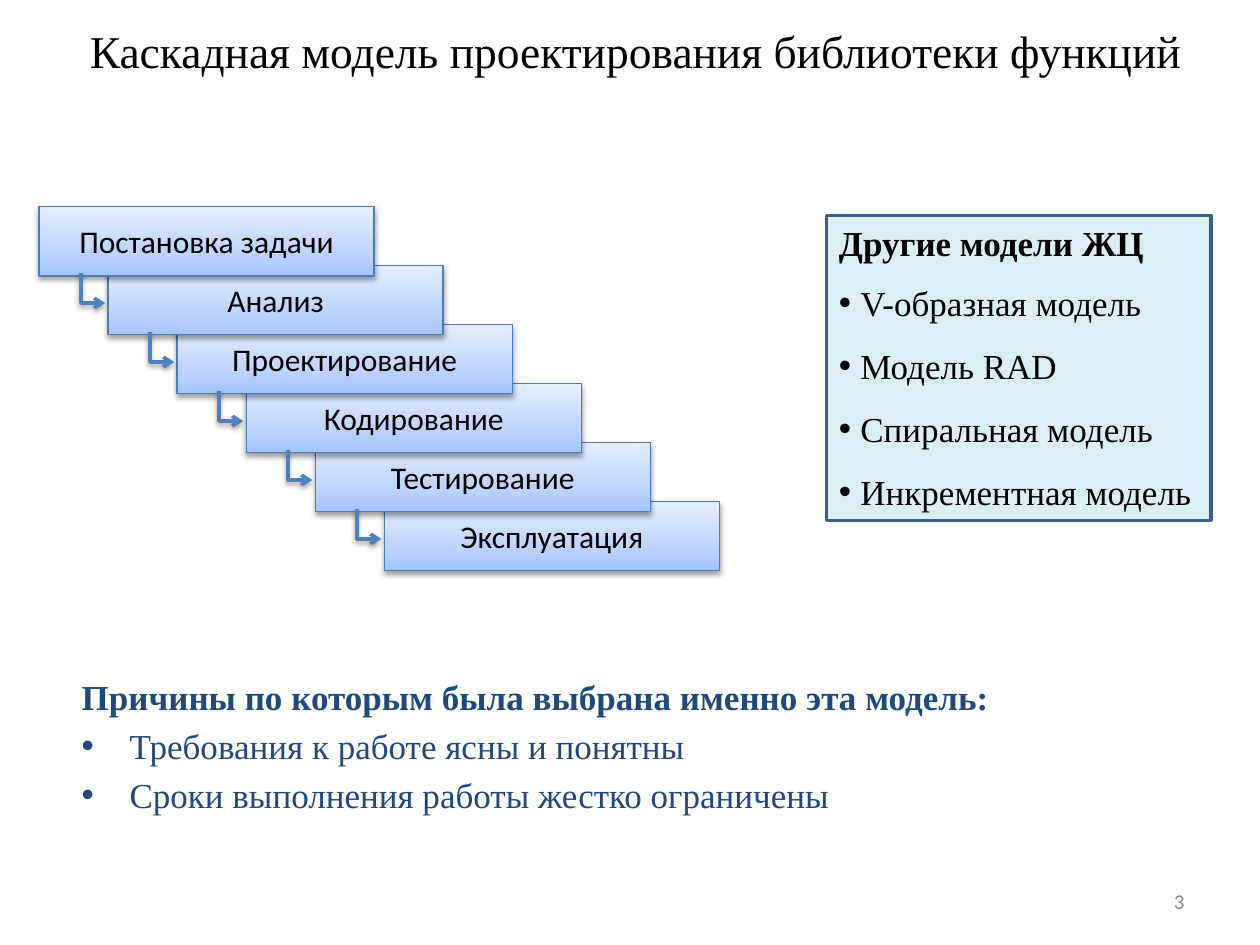
"""Builds a slide on the waterfall model of designing a function library."""
from copy import deepcopy

from lxml import etree
from pptx import Presentation
from pptx.dml.color import RGBColor
from pptx.enum.shapes import MSO_CONNECTOR, MSO_SHAPE
from pptx.enum.text import MSO_ANCHOR, PP_ALIGN
from pptx.oxml.ns import qn
from pptx.util import Inches, Pt

RECT = MSO_SHAPE.RECTANGLE
ELBOW = MSO_CONNECTOR.ELBOW
TOP, MIDDLE = MSO_ANCHOR.TOP, MSO_ANCHOR.MIDDLE
LEFT, CENTER, RIGHT = PP_ALIGN.LEFT, PP_ALIGN.CENTER, PP_ALIGN.RIGHT
SERIF, SANS = "Times New Roman", "Calibri"
BLACK, NAVY, GREY = "000000", "1F497D", "8C8C8C"

TITLE = "Каскадная модель проектирования библиотеки функций"
STAGES = ["Постановка задачи", "Анализ", "Проектирование",
          "Кодирование", "Тестирование", "Эксплуатация"]
OTHER_HEADING = "Другие модели ЖЦ"
OTHER_MODELS = ["V-образная модель", "Модель RAD", "Спиральная модель",
                "Инкрементная модель"]
REASONS_HEADING = "Причины по которым была выбрана именно эта модель:"
REASONS = ["Требования к работе ясны и понятны",
           "Сроки выполнения работы жестко ограничены"]
PAGE_NUMBER = "3"

SLIDE_W, SLIDE_H = 10, 7.5
MARGIN = 0.55
FIRST_X, FIRST_Y = 0.31, 1.64
STAGE_W, STAGE_H = 2.66, 0.55
STEP_X, STEP_Y = 2.74 / 5, 2.34 / 5
ELBOW_INSET = 0.31
PANEL_X, PANEL_Y, PANEL_W, PANEL_H = 6.56, 1.71, 3.05, 2.42
STAGE_GRADIENT = [(0, "A4C4FF"), (0.35, "BFD4FF"), (1, "E6EEFF")]


def rgb(value):
    return RGBColor.from_string(value)


def inches(*lengths):
    return [Inches(length) for length in lengths]


def write(shape, lines, size=20, font=SERIF, color=BLACK, bold=False,
          align=LEFT, anchor=TOP, hang=0, before=0, spacing=1.0):
    frame = shape.text_frame
    frame.word_wrap = True
    frame.vertical_anchor = anchor
    frame.text = "\n".join(lines)
    for paragraph in frame.paragraphs:
        paragraph.alignment = align
        paragraph.space_before = Pt(before)
        paragraph.line_spacing = spacing
        run_font = paragraph.runs[0].font
        run_font.size, run_font.name, run_font.bold = Pt(size), font, bold
        run_font.color.rgb = rgb(color)
        if hang:
            props = paragraph._p.get_or_add_pPr()
            props.set("marL", str(Inches(hang)))
            props.set("indent", str(-Inches(hang)))
            etree.SubElement(props, qn("a:buFont"), typeface="Arial")
            etree.SubElement(props, qn("a:buChar"), char="•")


def add_text(slide, box, lines, **style):
    write(slide.shapes.add_textbox(*inches(*box)), lines, **style)


def add_shadow(shape):
    effects = etree.SubElement(shape._element.spPr, qn("a:effectLst"))
    shadow = etree.SubElement(effects, qn("a:outerShdw"), blurRad="40000",
                              dist="20000", dir="5400000", rotWithShape="0")
    color = etree.SubElement(shadow, qn("a:srgbClr"), val=BLACK)
    etree.SubElement(color, qn("a:alpha"), val="38000")


def add_stage(slide, x, y, name):
    stage = slide.shapes.add_shape(RECT, *inches(x, y, STAGE_W, STAGE_H))
    stage.fill.gradient()
    stage.fill.gradient_angle = 90
    stop_list = stage._element.spPr.find(".//" + qn("a:gsLst"))
    stop_list.append(deepcopy(stop_list[0]))
    for stop, (position, color) in zip(stage.fill.gradient_stops, STAGE_GRADIENT):
        stop.position = position
        stop.color.rgb = rgb(color)
    stage.line.color.rgb = rgb("4B7EBC")
    stage.line.width = Pt(0.75)
    add_shadow(stage)
    write(stage, [name], size=18, font=SANS, align=CENTER, anchor=MIDDLE)


def add_elbow(slide, x, y, next_x, next_y):
    elbow = slide.shapes.add_connector(
        ELBOW, *inches(x + ELBOW_INSET, y + STAGE_H, next_x, next_y + STAGE_H / 2))
    elbow.line.color.rgb = rgb("4F81BD")
    elbow.line.width = Pt(2)
    props = elbow._element.spPr
    transform = props.find(qn("a:xfrm"))
    transform.set("rot", "16200000")
    transform.set("flipH", "1")
    adjustments = props.find(qn("a:prstGeom")).find(qn("a:avLst"))
    etree.SubElement(adjustments, qn("a:gd"), name="adj1", fmla="val 99700")
    etree.SubElement(props.find(qn("a:ln")), qn("a:tailEnd"), type="arrow")
    add_shadow(elbow)


def add_cascade(slide):
    corners = [(FIRST_X + i * STEP_X, FIRST_Y + i * STEP_Y)
               for i in range(len(STAGES))]
    for corner, name in reversed(list(zip(corners, STAGES))):
        add_stage(slide, *corner, name)
    for corner, next_corner in zip(corners, corners[1:]):
        add_elbow(slide, *corner, *next_corner)


def add_other_models(slide):
    panel = slide.shapes.add_shape(
        RECT, *inches(PANEL_X, PANEL_Y, PANEL_W, PANEL_H))
    panel.shadow.inherit = False
    panel.fill.solid()
    panel.fill.fore_color.rgb = rgb("DBEEF4")
    panel.line.color.rgb = rgb("3A5F8C")
    panel.line.width = Pt(2)
    add_text(slide, (PANEL_X, PANEL_Y, PANEL_W, 0.44), [OTHER_HEADING], bold=True)
    add_text(slide, (PANEL_X, PANEL_Y + 0.31, 3.19, 2.06), OTHER_MODELS,
             hang=0.17, spacing=1.5)


def main():
    deck = Presentation()
    deck.slide_width, deck.slide_height = inches(SLIDE_W, SLIDE_H)
    slide = deck.slides.add_slide(deck.slide_layouts[6])
    add_text(slide, (MARGIN, 0, 9, 0.79), [TITLE], size=26,
             align=CENTER, anchor=MIDDLE)
    add_cascade(slide)
    add_other_models(slide)
    add_text(slide, (MARGIN, 5.31, 7.46, 0.44), [REASONS_HEADING],
             color=NAVY, bold=True)
    add_text(slide, (MARGIN, 5.7, 7.86, 0.94), REASONS, color=NAVY,
             hang=0.38, before=4)
    add_text(slide, (7.17, 6.95, 2.33, 0.4), [PAGE_NUMBER], size=12, font=SANS,
             color=GREY, align=RIGHT, anchor=MIDDLE)
    deck.save("out.pptx")


if __name__ == "__main__":
    main()
